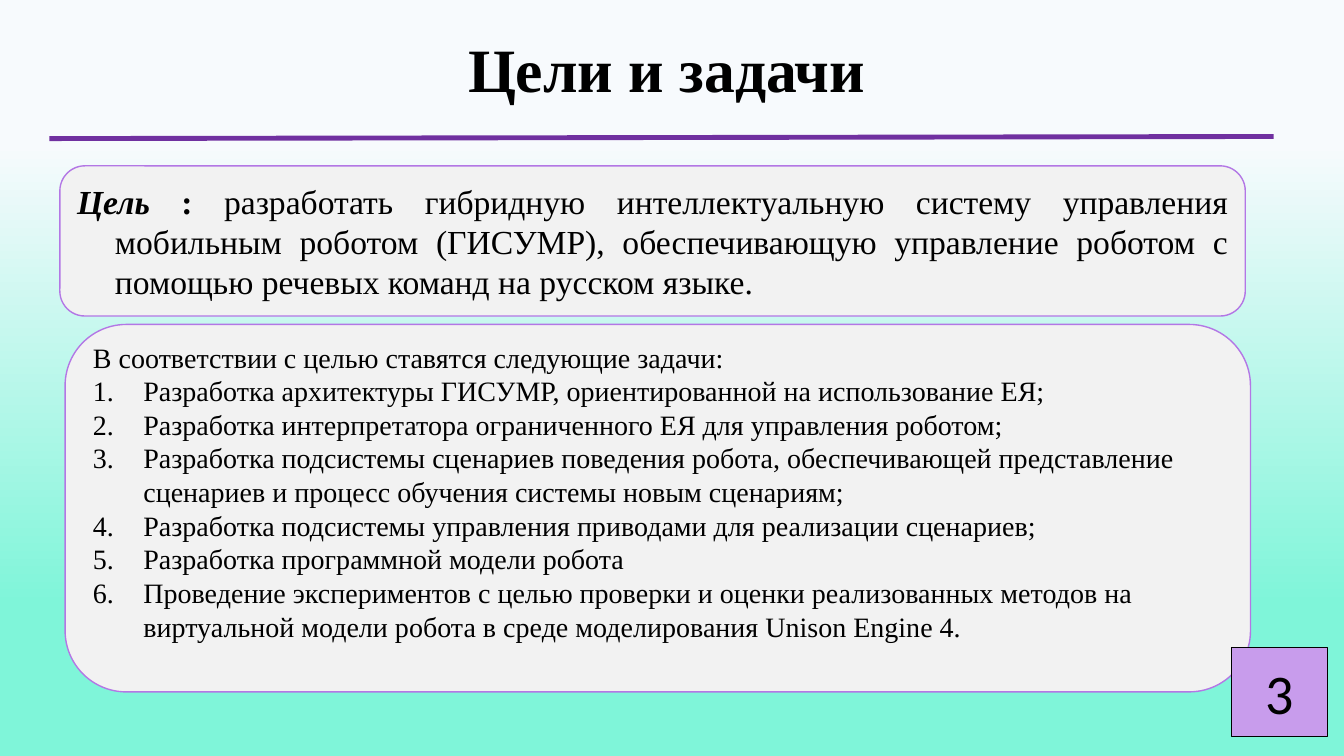
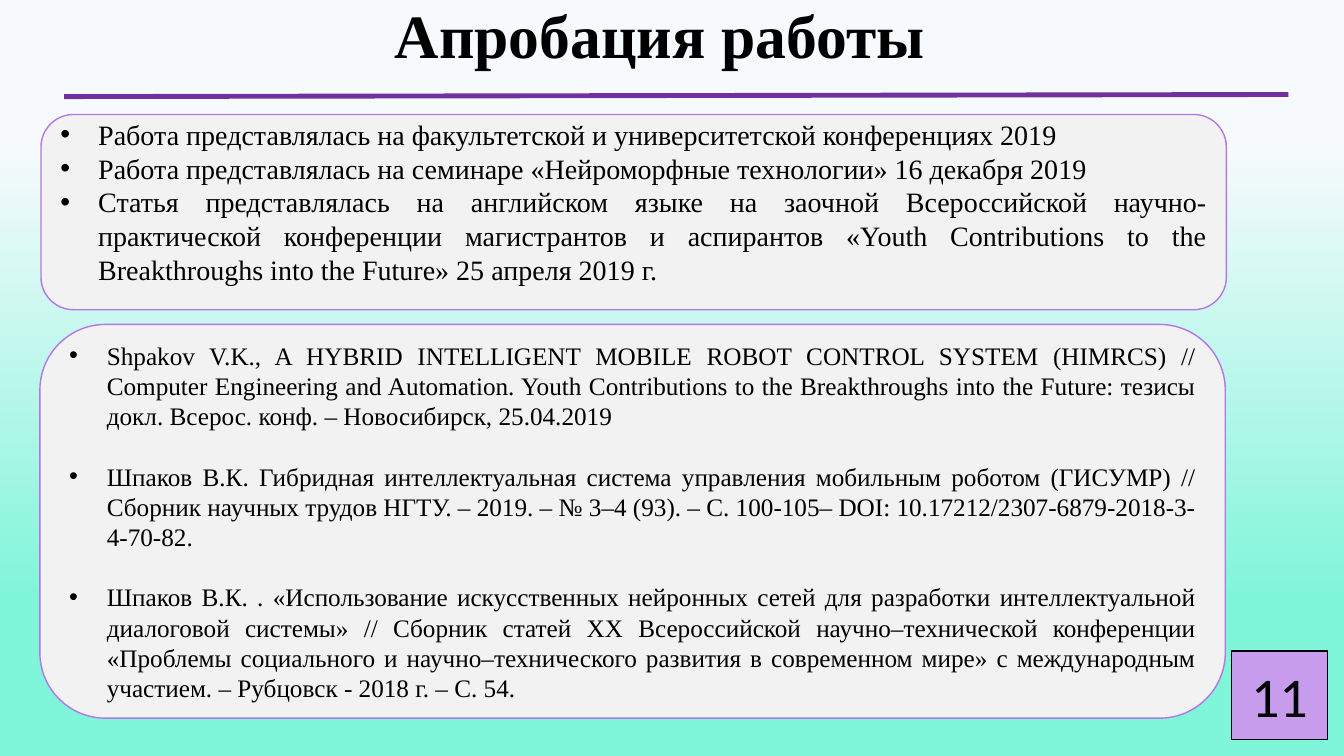
from lxml import etree
from pptx import Presentation
from pptx.dml.color import RGBColor
from pptx.enum.shapes import MSO_CONNECTOR, MSO_SHAPE
from pptx.enum.text import MSO_ANCHOR, PP_ALIGN
from pptx.oxml.ns import qn
from pptx.util import Pt

RECT, ROUND = MSO_SHAPE.RECTANGLE, MSO_SHAPE.ROUNDED_RECTANGLE
LINE = MSO_CONNECTOR.STRAIGHT
LEFT, CENTER, JUSTIFY = PP_ALIGN.LEFT, PP_ALIGN.CENTER, PP_ALIGN.JUSTIFY
MIDDLE, BOTTOM = MSO_ANCHOR.MIDDLE, MSO_ANCHOR.BOTTOM

SERIF, SANS = "Times New Roman", "Calibri"
INK, PANEL, EDGE = "000000", "F2F2F2", "B377E5"
BADGE, RULE = "C89CEC", "7030A0"
SKY = ((0.19, "F7FAFD"), (0.80, "7FF5D9"))

DOT = (("buClr", {}), ("buFont", {"typeface": "Arial"}), ("buChar", {"char": "•"}))
NUMBER = (("buFont", {"typeface": "+mj-lt"}),
          ("buAutoNum", {"type": "arabicPeriod"}))

GOAL = [
    ("Цель", {"bold": True, "italic": True}),
    (" : ", {"bold": True}),
    ("разработать гибридную интеллектуальную систему управления мобильным "
     "роботом (ГИСУМР), обеспечивающую управление роботом с помощью речевых "
     "команд на русском языке.", {}),
]
INTRO = "В соответствии с целью ставятся следующие задачи:"
TASKS = [
    "Разработка архитектуры ГИСУМР, ориентированной на использование ЕЯ;",
    "Разработка интерпретатора ограниченного ЕЯ для управления роботом;",
    "Разработка подсистемы сценариев поведения робота, обеспечивающей "
    "представление сценариев и процесс обучения системы новым сценариям;",
    "Разработка подсистемы управления приводами для реализации сценариев;",
    "Разработка программной модели робота",
    "Проведение экспериментов с целью проверки и оценки реализованных методов "
    "на виртуальной модели робота в среде моделирования Unison Engine 4.",
]
TALKS = [
    "Работа представлялась на факультетской и университетской конференциях 2019",
    "Работа представлялась на семинаре «Нейроморфные технологии» 16 декабря 2019",
    "Статья представлялась на английском языке на заочной Всероссийской "
    "научно-практической конференции магистрантов и аспирантов «Youth "
    "Contributions to the Breakthroughs into the Future» 25 апреля 2019 г.",
]
PAPERS = [
    "Shpakov V.K., A HYBRID INTELLIGENT MOBILE ROBOT CONTROL SYSTEM (HIMRCS) // "
    "Computer Engineering and Automation. Youth Contributions to the "
    "Breakthroughs into the Future: тезисы докл. Всерос. конф. – Новосибирск, "
    "25.04.2019",
    "Шпаков В.К. Гибридная интеллектуальная система управления мобильным роботом "
    "(ГИСУМР) // Сборник научных трудов НГТУ. – 2019. – № 3–4 (93). – "
    "С. 100-105– DOI: 10.17212/2307-6879-2018-3-4-70-82.",
    "Шпаков В.К. . «Использование искусственных нейронных сетей для разработки "
    "интеллектуальной диалоговой системы» // Сборник статей XX Всероссийской "
    "научно–технической конференции «Проблемы социального и "
    "научно–технического развития в современном мире» с международным участием. "
    "– Рубцовск - 2018 г. – С. 54.",
]


def px(n):
    return n * 9525


def color(code):
    return RGBColor.from_string(code)


def assign(item, values):
    for name, value in values.items():
        setattr(item, name, value)


def write(para, runs, size, font=SERIF, **form):
    assign(para, form)
    for text, style in runs:
        run = para.add_run()
        run.text = text
        assign(run.font, {"name": font, "size": Pt(size), **style})
        run.font.color.rgb = color(INK)


def indent(para, hang, marks=()):
    props = para._p.get_or_add_pPr()
    props.set("marL", str(px(hang)))
    props.set("indent", str(-px(hang)))
    for tag, values in marks:
        mark = etree.SubElement(props, qn("a:" + tag), values)
        if tag == "buClr":
            etree.SubElement(mark, qn("a:srgbClr"), val=INK)


def box(slide, kind, area, fill, edge, width):
    shape = slide.shapes.add_shape(kind, *map(px, area))
    shape.shadow.inherit = False
    shape.fill.solid()
    shape.fill.fore_color.rgb = color(fill)
    shape.line.color.rgb = color(edge)
    shape.line.width = Pt(width)
    assign(shape.text_frame, {"word_wrap": True, "vertical_anchor": MIDDLE})
    return shape.text_frame


def panel(slide, left, top, height, items, size, upper=5, lower=5, gap=0):
    frame = box(slide, ROUND, (left, top, 1129, height), PANEL, EDGE, 1)
    assign(frame, {"margin_top": px(upper), "margin_bottom": px(lower)})
    for i, (runs, align, hang, marks) in enumerate(items):
        para = frame.add_paragraph() if i else frame.paragraphs[0]
        write(para, runs, size, alignment=align, space_before=Pt(gap if i else 0))
        indent(para, hang, marks)


def plain(texts, align=JUSTIFY, hang=36, marks=DOT):
    return [([(text, {})], align, hang, marks) for text in texts]


def title(slide, area, text, **form):
    frame = slide.shapes.add_textbox(*map(px, area)).text_frame
    assign(frame, {"word_wrap": False, **form})
    write(frame.paragraphs[0], [(text, {"bold": True})], 44,
          alignment=CENTER, line_spacing=0.9)


def rule(slide, left, top):
    ends = (left, top, left + 1166, top - 2)
    line = slide.shapes.add_connector(LINE, *map(px, ends))
    line.line.color.rgb = color(RULE)
    line.line.width = Pt(3.5)
    etree.SubElement(line._element.spPr, qn("a:effectLst"))


def badge(slide, top, number):
    frame = box(slide, RECT, (1173, top, 91, 84), BADGE, INK, 0.75)
    write(frame.paragraphs[0], [(number, {})], 40, SANS, alignment=CENTER)


def backdrop(master):
    fill = master.background.fill
    fill.gradient()
    fill.gradient_angle = 270
    for stop, (place, code) in zip(fill.gradient_stops, SKY):
        stop.position = place
        stop.color.rgb = color(code)


def goals(slide):
    tasks = plain([INTRO], marks=()) + plain(TASKS, LEFT, 48, NUMBER)
    panel(slide, 62, 309, 350, tasks, 20, lower=37)
    title(slide, (5, 14, 1260, 92), "Цели и задачи", vertical_anchor=BOTTOM)
    badge(slide, 617, "3")
    panel(slide, 57, 158, 143, [(GOAL, JUSTIFY, 36, ())], 24)
    rule(slide, 47, 132)


def results(slide):
    badge(slide, 620, "11")
    panel(slide, 39, 109, 186, plain(TALKS), 20, upper=0, lower=20)
    title(slide, (364, 0, 529, 74), "Апробация работы")
    rule(slide, 61, 92)
    panel(slide, 38, 309, 375, plain(PAPERS), 18, gap=21.6)


def main():
    deck = Presentation()
    assign(deck, {"slide_width": px(1280), "slide_height": px(720)})
    backdrop(deck.slide_master)
    for build in (goals, results):
        build(deck.slides.add_slide(deck.slide_layouts[6]))
    deck.save("out.pptx")


if __name__ == "__main__":
    main()
